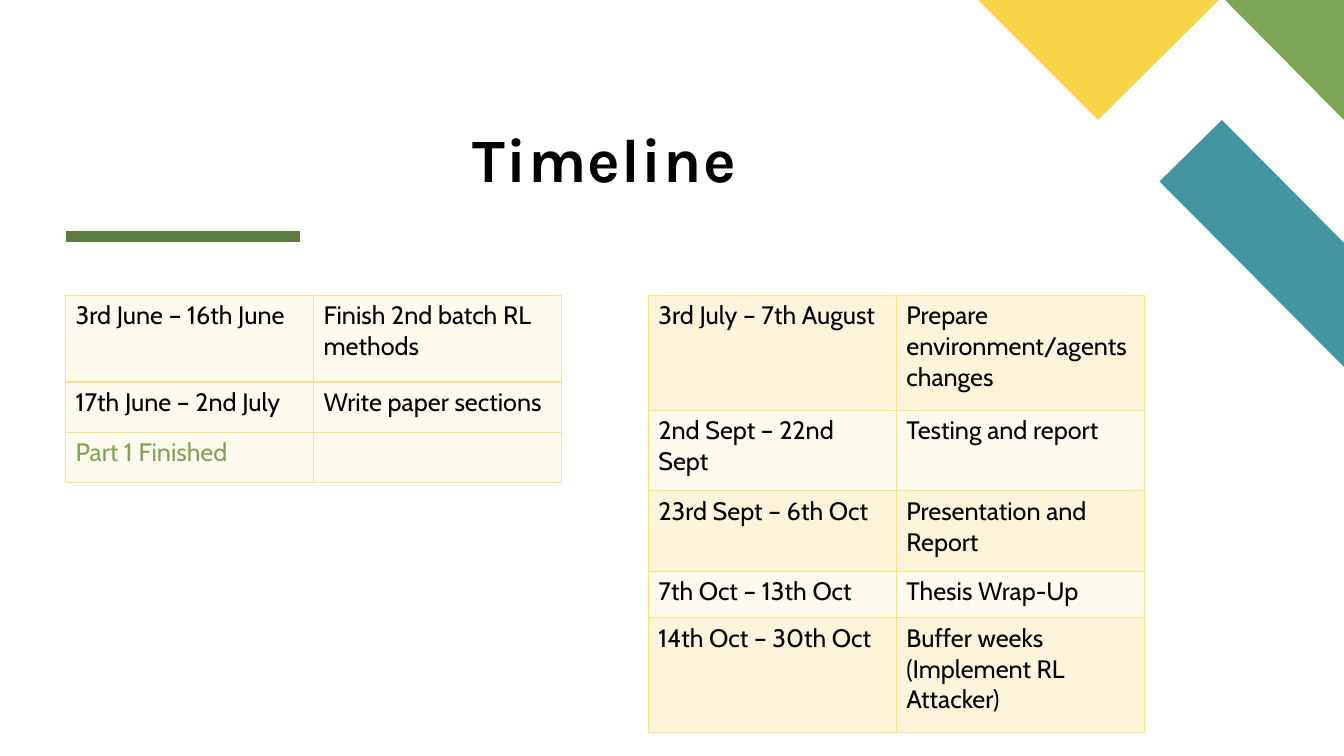
from lxml import etree
from pptx import Presentation
from pptx.dml.color import RGBColor
from pptx.enum.shapes import MSO_CONNECTOR
from pptx.enum.text import MSO_ANCHOR, MSO_AUTO_SIZE, PP_ALIGN
from pptx.oxml.ns import qn
from pptx.util import Inches, Pt

STRAIGHT = MSO_CONNECTOR.STRAIGHT
BOTTOM = MSO_ANCHOR.BOTTOM
NO_AUTOFIT = MSO_AUTO_SIZE.NONE
CENTER = PP_ALIGN.CENTER

TITLE_ONLY_LAYOUT = 5
LEFT_EDGE = 0.65
TABLE_TOP = 2.93
COLUMN_WIDTH = 2.46

BLACK = "000000"
GREEN = "7CA655"
DARK_GREEN = "5D7D40"
BORDER_YELLOW = "FBE284"
PALE_CREAM = "FEFAED"
DEEP_CREAM = "FDF4D9"

CORNER_DECORATIONS = [
    ("4495A2", [(13.33, 3.64), (13.33, 2.41), (12.12, 1.19), (11.5, 1.8)]),
    (GREEN, [(13.33, 1.19), (13.33, 0), (12.15, 0)]),
    ("F9D448", [(9.7, 0), (10.89, 1.19), (12.09, 0)]),
]

# Each row: height, dates, task
PART_ONE = [
    (0.86, "3rd June – 16th June", "Finish 2nd batch RL methods"),
    (0.5, "17th June – 2nd July", "Write paper sections"),
    (0.5, "Part 1 Finished", ""),
]
PART_TWO = [
    (1.14, "3rd July – 7th August", "Prepare environment/agents changes"),
    (0.8, "2nd Sept – 22nd Sept", "Testing and report"),
    (0.8, "23rd Sept – 6th Oct", "Presentation and Report"),
    (0.46, "7th Oct – 13th Oct", "Thesis Wrap-Up"),
    (1.14, "14th Oct – 30th Oct", "Buffer weeks (Implement RL Attacker)"),
]


def rgb(hex_color):
    return RGBColor.from_string(hex_color)


def format_font(font, color, **values):
    for name, value in values.items():
        setattr(font, name, value)
    font.color.rgb = rgb(color)


def add_decoration(slide, color, points):
    corners = [(Inches(x), Inches(y)) for x, y in points]
    builder = slide.shapes.build_freeform(*corners[0])
    builder.add_line_segments(corners[1:], close=True)
    decoration = builder.convert_to_shape()
    decoration.shadow.inherit = False
    decoration.fill.solid()
    decoration.fill.fore_color.rgb = rgb(color)
    decoration.line.fill.background()


def add_title_rule(slide):
    y = Inches(2.35)
    rule = slide.shapes.add_connector(
        STRAIGHT, Inches(LEFT_EDGE), y, Inches(2.98), y)
    rule.line.color.rgb = rgb(DARK_GREEN)
    rule.line.width = Pt(8)
    etree.SubElement(rule._element.spPr, qn("a:effectLst"))


def set_title(slide, text):
    title = slide.shapes.title
    place = {"left": LEFT_EDGE, "top": 0.3, "width": 10.69, "height": 1.63}
    for name, value in place.items():
        setattr(title, name, Inches(value))
    frame = title.text_frame
    frame_format = {
        "margin_left": 0, "margin_top": 0, "margin_right": 0,
        "margin_bottom": 0, "vertical_anchor": BOTTOM,
        "word_wrap": True, "auto_size": NO_AUTOFIT,
    }
    for name, value in frame_format.items():
        setattr(frame, name, value)
    frame.text = text
    heading = frame.paragraphs[0]
    heading.alignment = CENTER
    heading.line_spacing = 0.8
    font = heading.runs[0].font
    format_font(font, BLACK, name="Karla", size=Pt(44), bold=True)
    font._element.set("spc", "100")


def set_borders(cell, color):
    properties = cell._tc.get_or_add_tcPr()
    for side in ("lnL", "lnR", "lnT", "lnB"):
        border = etree.SubElement(properties, qn(f"a:{side}"), w=str(Pt(1)))
        fill = etree.SubElement(border, qn("a:solidFill"))
        etree.SubElement(fill, qn("a:srgbClr"), val=color)


def fill_cell(cell, text, background, text_color):
    set_borders(cell, BORDER_YELLOW)
    cell.fill.solid()
    cell.fill.fore_color.rgb = rgb(background)
    cell.text = text
    format_font(cell.text_frame.paragraphs[0].font, text_color,
                name="Cabin", size=Pt(18))


def add_schedule(slide, left, schedule, row_fills, milestone=None):
    """Add a dates-and-tasks table; row_fills repeat down the rows."""
    height = sum(row[0] for row in schedule)
    table = slide.shapes.add_table(
        len(schedule), 2, Inches(left), Inches(TABLE_TOP),
        Inches(2 * COLUMN_WIDTH), Inches(height)).table
    table.first_row = False
    table.horz_banding = False
    for column in table.columns:
        column.width = Inches(COLUMN_WIDTH)
    for index, (row_height, *texts) in enumerate(schedule):
        row = table.rows[index]
        row.height = Inches(row_height)
        background = row_fills[index % len(row_fills)]
        for cell, text in zip(row.cells, texts):
            text_color = GREEN if text == milestone else BLACK
            fill_cell(cell, text, background, text_color)


def main():
    presentation = Presentation()
    presentation.slide_width = Inches(13.33)
    presentation.slide_height = Inches(7.5)
    layout = presentation.slide_layouts[TITLE_ONLY_LAYOUT]
    slide = presentation.slides.add_slide(layout)

    for color, points in CORNER_DECORATIONS:
        add_decoration(slide, color, points)
    add_title_rule(slide)
    set_title(slide, "Timeline")
    add_schedule(slide, LEFT_EDGE, PART_ONE, [PALE_CREAM],
                 milestone="Part 1 Finished")
    add_schedule(slide, 6.43, PART_TWO, [DEEP_CREAM, PALE_CREAM])

    presentation.save("out.pptx")


if __name__ == "__main__":
    main()
